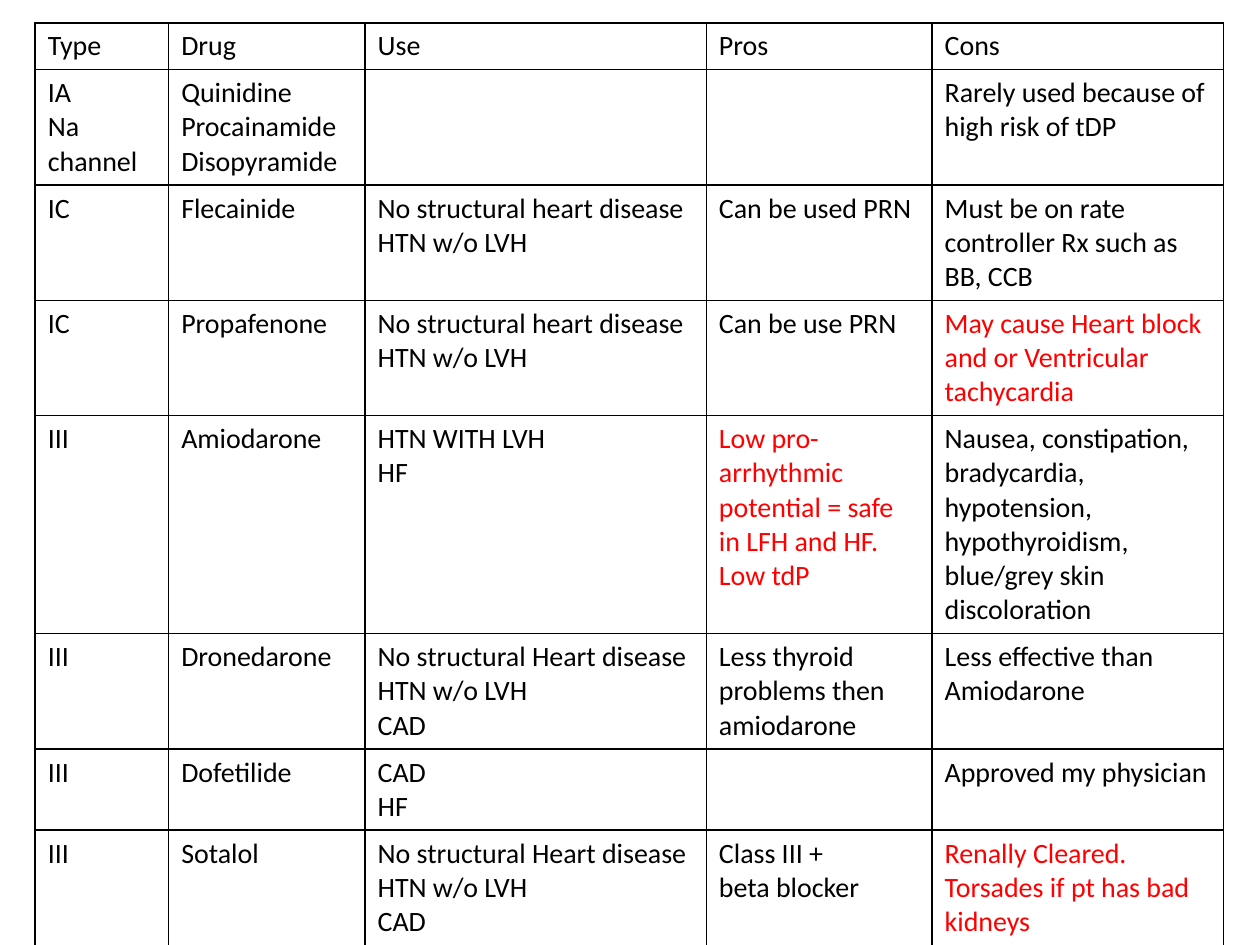
from lxml import etree
from pptx import Presentation
from pptx.dml.color import RGBColor
from pptx.oxml.ns import qn
from pptx.util import Cm, Pt

FONT = "Calibri"
BLACK = "000000"
RED = "FF0000"

COLUMN_WIDTHS = [2.69, 3.96, 6.88, 4.55, 5.87]
ROW_HEIGHTS = [0.89, 1.98, 1.98, 1.98, 3.12, 1.98, 1.32, 1.85]

DRUGS = [
    ["Type", "Drug", "Use", "Pros", "Cons"],
    ["IA\nNa channel", "Quinidine\nProcainamide\nDisopyramide", "", "",
     "Rarely used because of high risk of tDP"],
    ["IC", "Flecainide", "No structural heart disease\nHTN w/o LVH",
     "Can be used PRN", "Must be on rate controller Rx such as BB, CCB"],
    ["IC", "Propafenone", "No structural heart disease\nHTN w/o LVH",
     "Can be use PRN",
     "May cause Heart block and or Ventricular tachycardia"],
    ["III", "Amiodarone", "HTN WITH LVH\nHF",
     "Low pro-arrhythmic potential = safe in LFH and HF. Low tdP",
     "Nausea, constipation, bradycardia, hypotension, hypothyroidism, "
     "blue/grey skin discoloration"],
    ["III", "Dronedarone", "No structural Heart disease\nHTN w/o LVH\nCAD",
     "Less thyroid problems then amiodarone",
     "Less effective than Amiodarone"],
    ["III", "Dofetilide", "CAD\nHF", "", "Approved my physician"],
    ["III", "Sotalol", "No structural Heart disease\nHTN w/o LVH\nCAD",
     "Class III +\nbeta blocker",
     "Renally Cleared. Torsades if pt has bad kidneys"],
]
WARNINGS = {(3, 4), (4, 3), (7, 4)}  # (row, column) of the red cells


def rgb(hex_color):
    return RGBColor.from_string(hex_color)


def add_borders(cell, hex_color=BLACK, width=Pt(1)):
    properties = cell._tc.get_or_add_tcPr()
    for side in ("a:lnL", "a:lnR", "a:lnT", "a:lnB"):
        line = etree.SubElement(properties, qn(side), w=str(width))
        fill = etree.SubElement(line, qn("a:solidFill"))
        etree.SubElement(fill, qn("a:srgbClr"), val=hex_color)


def fill_cell(cell, text, hex_color):
    add_borders(cell)
    cell.fill.background()
    cell.text_frame.text = text
    for paragraph in cell.text_frame.paragraphs:
        paragraph.font.size = Pt(16)
        for run in paragraph.runs:
            run.font.name = FONT
            run.font.size = Pt(16)
            run.font.color.rgb = rgb(hex_color)


def add_drug_table(slide, left, top):
    table = slide.shapes.add_table(
        len(DRUGS), len(COLUMN_WIDTHS), Cm(left), Cm(top),
        Cm(sum(COLUMN_WIDTHS)), Cm(sum(ROW_HEIGHTS))).table
    table.first_row = False
    table.horz_banding = False
    for column, width in zip(table.columns, COLUMN_WIDTHS):
        column.width = Cm(width)
    for row, height in zip(table.rows, ROW_HEIGHTS):
        row.height = Cm(height)
    for r, drug in enumerate(DRUGS):
        for c, text in enumerate(drug):
            color = RED if (r, c) in WARNINGS else BLACK
            fill_cell(table.cell(r, c), text, color)


def main():
    presentation = Presentation()
    presentation.slide_width = Cm(25.4)
    presentation.slide_height = Cm(19.05)
    slide = presentation.slides.add_slide(presentation.slide_layouts[6])
    add_drug_table(slide, left=0.71, top=0.46)
    presentation.save("out.pptx")


if __name__ == "__main__":
    main()
